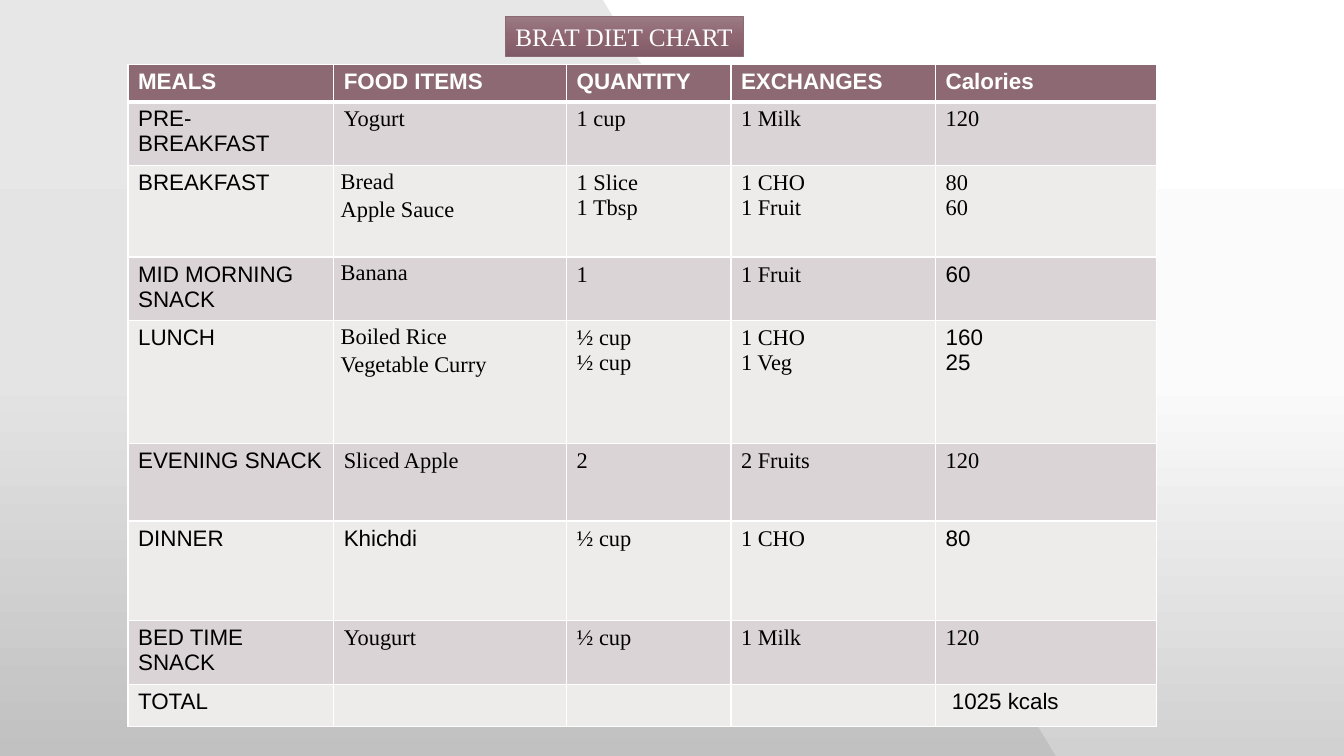
from lxml.etree import SubElement
from pptx import Presentation
from pptx.dml.color import RGBColor
from pptx.enum.text import MSO_ANCHOR, MSO_AUTO_SIZE, PP_ALIGN
from pptx.oxml.ns import qn
from pptx.util import Inches, Pt

COLOURS = {
    "white": "FFFFFF", "black": "000000", "wedge": "6F6F74",
    "mauve": "8D6974", "dark_band": "DBD4D6", "light_band": "EEEBEB",
}
PAGE_STOPS = {0: "FFFFFF", 50: "FBFBFB", 100: "D1D1D1"}
TITLE_STOPS = {0: "9A7B84", 50: "8F6773", 100: "805A66"}

COLUMN_WIDTHS = [2.04, 2.31, 1.63, 2.03, 2.19]
ROW_HEIGHTS = [0.37, 0.63, 0.91, 0.63, 1.22, 0.77, 0.99, 0.63, 0.42]
MEALS = [
    ["MEALS", "FOOD ITEMS", "QUANTITY", "EXCHANGES", "Calories"],
    ["PRE- BREAKFAST", "Yogurt", "1 cup", "1 Milk", "120"],
    ["BREAKFAST", "Bread\nApple Sauce", "1 Slice\n1 Tbsp", "1 CHO\n1 Fruit", "80\n60"],
    ["MID MORNING SNACK", "Banana", "1", "1 Fruit", "60"],
    ["LUNCH", "Boiled Rice\nVegetable Curry", "½ cup\n½ cup", "1 CHO\n1 Veg", "160\n25"],
    ["EVENING SNACK", "Sliced Apple", "2", "2 Fruits", "120"],
    ["DINNER", "Khichdi", "½ cup", "1 CHO", "80"],
    ["BED TIME SNACK", "Yougurt", "½ cup", "1 Milk", "120"],
    ["TOTAL", "", "", "", " 1025 kcals"],
]
SANS_CELLS = {(3, 4), (4, 4), (6, 1), (6, 4), (8, 4)}
SPACED_FOOD_ROWS = {2, 3, 4}


def fill_gradient(fill, element, stops):
    """Fill from top to bottom with the given stops."""
    fill.gradient()
    fill.gradient_angle = 270
    stop_list = element.find(".//" + qn("a:gsLst"))
    for stop in list(stop_list):
        stop_list.remove(stop)
    for percent, colour in stops.items():
        stop = SubElement(stop_list, qn("a:gs"), pos=str(percent * 1000))
        SubElement(stop, qn("a:srgbClr"), val=colour)


def add_borders(cell, bottom_width):
    """Draw white lines round a cell; they go before its fill."""
    properties = cell._tc.get_or_add_tcPr()
    widths = {"a:lnL": 1, "a:lnR": 1, "a:lnT": 1, "a:lnB": bottom_width}
    for position, (tag, width) in enumerate(widths.items()):
        line = SubElement(properties, qn(tag), w=str(Pt(width)))
        solid = SubElement(line, qn("a:solidFill"))
        SubElement(solid, qn("a:srgbClr"), val=COLOURS["white"])
        properties.insert(position, line)


deck = Presentation()
deck.slide_width, deck.slide_height = Inches(13.33), Inches(7.5)
page = deck.slides.add_slide(deck.slide_layouts[5])

# Background with a slanted wedge
fill_gradient(page.background.fill, page.element, PAGE_STOPS)
builder = page.shapes.build_freeform(0, 0)
builder.add_line_segments(
    [(Inches(x), Inches(y)) for x, y in [(5.98, 0), (10.47, 7.5), (0, 7.5)]])
wedge = builder.convert_to_shape()
wedge.shadow.inherit = False
wedge.line.fill.background()
wedge.fill.solid()
wedge.fill.fore_color.rgb = RGBColor.from_string(COLOURS["wedge"])
SubElement(wedge.element.spPr.find(".//" + qn("a:srgbClr")), qn("a:alpha"), val="16000")

# Diet table
frame = page.shapes.add_table(
    len(MEALS), len(COLUMN_WIDTHS), Inches(1.27), Inches(0.64),
    Inches(sum(COLUMN_WIDTHS)), Inches(sum(ROW_HEIGHTS)))
table = frame.table
for column, width in zip(table.columns, COLUMN_WIDTHS):
    column.width = Inches(width)
for row, height in zip(table.rows, ROW_HEIGHTS):
    row.height = Inches(height)

for row_index, meal in enumerate(MEALS):
    header = row_index == 0
    band = "mauve" if header else "dark_band" if row_index % 2 else "light_band"
    for column_index, content in enumerate(meal):
        cell = table.cell(row_index, column_index)
        cell.fill.solid()
        cell.fill.fore_color.rgb = RGBColor.from_string(COLOURS[band])
        add_borders(cell, 3 if header else 1)
        if not content:
            continue
        spaced = column_index == 1 and row_index in SPACED_FOOD_ROWS
        if spaced:
            cell.margin_left = cell.margin_right = Inches(0.07)
            cell.margin_top = cell.margin_bottom = 0
        sans = header or column_index == 0 or (row_index, column_index) in SANS_CELLS
        for line_index, words in enumerate(content.split("\n")):
            box = cell.text_frame
            para = box.add_paragraph() if line_index else box.paragraphs[0]
            if spaced:
                para.line_spacing = 1.15
            span = para.add_run()
            span.text = words
            span.font.name = "Arial" if sans else "Times New Roman"
            span.font.size = Pt(16)
            span.font.bold = header
            span.font.color.rgb = RGBColor.from_string(
                COLOURS["white" if header else "black"])

# Title, in front of the wedge
title = page.shapes.title
page.shapes.element.append(title.element)
title.left, title.top = Inches(5.01), Inches(0.16)
title.width, title.height = Inches(2.36), Inches(0.4)
fill_gradient(title.fill, title.element, TITLE_STOPS)
title.line.color.rgb = RGBColor.from_string(COLOURS["mauve"])
title.line.width = Pt(0.5)
box = title.text_frame
box.word_wrap = False
box.auto_size = MSO_AUTO_SIZE.NONE
box.vertical_anchor = MSO_ANCHOR.TOP
para = box.paragraphs[0]
para.alignment = PP_ALIGN.CENTER
span = para.add_run()
span.text = "BRAT DIET CHART"
span.font.name = "Times New Roman"
span.font.size = Pt(18)
span.font.color.rgb = RGBColor.from_string(COLOURS["white"])

deck.save("out.pptx")
